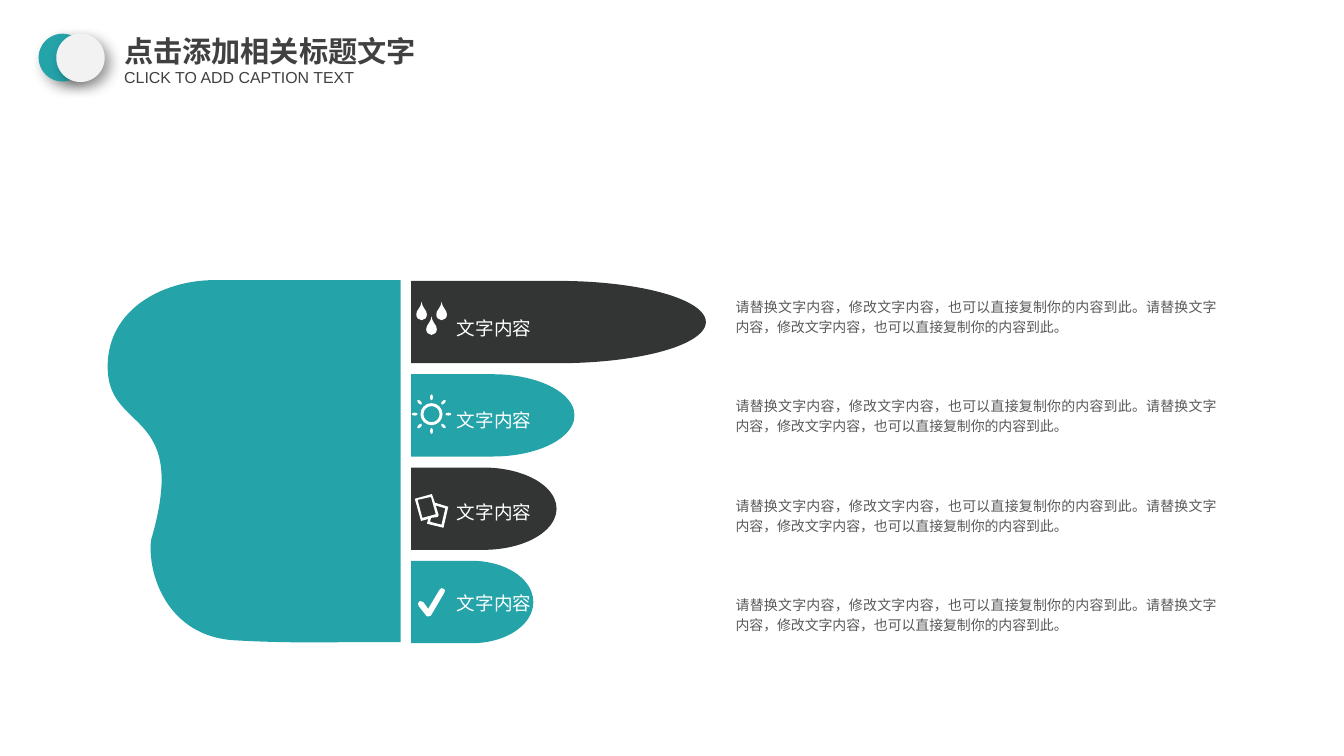
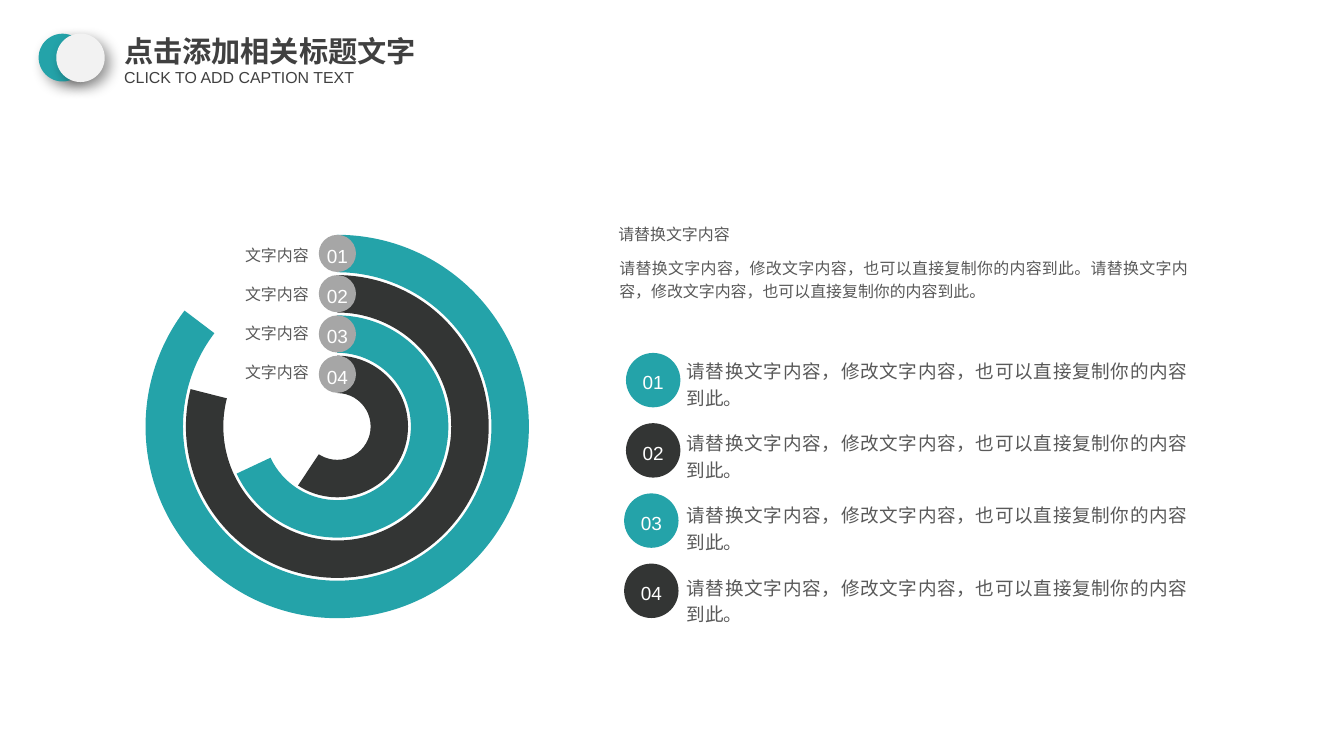
from math import cos, sin, radians
from pptx import Presentation
from pptx.dml.color import RGBColor
from pptx.enum.shapes import MSO_SHAPE as SHAPE
from pptx.enum.text import MSO_ANCHOR as ANCHOR, MSO_AUTO_SIZE as FIT, PP_ALIGN as ALIGN
from pptx.oxml import parse_xml
from pptx.oxml.ns import nsdecls, qn
from pptx.util import Pt

COLORS = {"teal": "24A3A9", "dark": "333534", "pale": "F2F2F2", "badge": "A6A6A6",
          "white": "FFFFFF", "title": "404040", "body": "595959"}
BANDS = ["teal", "dark"]
LABEL = "文字内容"
HINT = "请替换文字内容"
SENTENCE = HINT + "，修改文字内容，也可以直接复制你的内容到此。"
SHADOW = (f'<a:effectLst {nsdecls("a")}><a:outerShdw blurRad="127000" dist="76200" dir="2700000">'
          '<a:srgbClr val="000000"><a:alpha val="40000"/></a:srgbClr></a:outerShdw></a:effectLst>')


def place(slide, kind, box, fill=None, text="", size=12, color="body", align=ALIGN.LEFT,
          wrap=True, spacing=1.2):
    frame = [Pt(v) for v in box]
    if kind is None:
        item = slide.shapes.add_textbox(*frame)
    else:
        item = slide.shapes.add_shape(kind, *frame)
        item.shadow.inherit = False
        item.fill.solid()
        item.fill.fore_color.rgb = RGBColor.from_string(COLORS[fill])
        item.line.fill.background()
    if text:
        words = item.text_frame
        words.margin_left = words.margin_right = words.margin_top = words.margin_bottom = 0
        words.word_wrap = wrap
        words.auto_size = FIT.SHAPE_TO_FIT_TEXT if kind is None else FIT.NONE
        words.vertical_anchor = ANCHOR.TOP if kind is None else ANCHOR.MIDDLE
        words.text = text
        line = words.paragraphs[0]
        line.alignment = align
        line.line_spacing = spacing
        line.font.name = "Arial"
        line.font.size = Pt(size)
        line.font.color.rgb = RGBColor.from_string(COLORS[color])
    return item


def trace(slide, contours, fill):
    builder = None
    for start, *steps in contours:
        x, y = Pt(start[0]), Pt(start[1])
        if builder is None:
            builder = slide.shapes.build_freeform(x, y)
        else:
            builder.move_to(x, y)
        builder.add_line_segments([(Pt(s[-2]), Pt(s[-1])) for s in steps], close=True)
    outline = builder.convert_to_shape()
    outline.shadow.inherit = False
    outline.fill.solid()
    outline.fill.fore_color.rgb = RGBColor.from_string(COLORS[fill])
    outline.line.fill.background()
    all_steps = [step for _, *steps in contours for step in steps]
    for segment, step in zip(list(outline._element.iter(qn("a:lnTo"))), all_steps):
        if len(step) == 6:
            points = "".join(f'<a:pt x="{Pt(px) - outline.left}" y="{Pt(py) - outline.top}"/>'
                             for px, py in zip(step[::2], step[1::2]))
            curve = parse_xml(f'<a:cubicBezTo {nsdecls("a")}>{points}</a:cubicBezTo>')
            segment.getparent().replace(segment, curve)


deck = Presentation()
deck.slide_width, deck.slide_height = Pt(1012.5), Pt(569.5)

slides = []
for _ in range(2):
    slide = deck.slides.add_slide(deck.slide_layouts[5])
    for disc_box, disc_fill in [((29.1, 25.4, 36, 36), "teal"), ((42.4, 25.3, 36.5, 36.5), "pale")]:
        disc = place(slide, SHAPE.OVAL, disc_box, disc_fill)
        props = disc._element.spPr
        props.remove(props.find(qn("a:effectLst")))
        props.append(parse_xml(SHADOW))
    title = slide.shapes.title
    title.left, title.top, title.width, title.height = Pt(93.6), Pt(25.2), Pt(240), Pt(26.6)
    heading = title.text_frame
    heading.margin_left = heading.margin_right = heading.margin_top = heading.margin_bottom = 0
    heading.vertical_anchor = ANCHOR.TOP
    heading.auto_size = FIT.NONE
    heading.text = "点击添加相关标题文字"
    name = heading.paragraphs[0]
    name.alignment = ALIGN.LEFT
    name.font.name = "Arial"
    name.font.size = Pt(22)
    name.font.bold = True
    name.font.color.rgb = RGBColor.from_string(COLORS["title"])
    place(slide, None, (93.6, 51.1, 240, 14.4), text="CLICK TO ADD CAPTION TEXT",
          color="title", spacing=1)
    slides.append(slide)
fist, rings = slides

palm = [(113.8, 406.8), (142.6, 308.9, 84.2, 326.2, 81.2, 280.1),
        (78.5, 234.7, 121, 211, 162, 211), (301.7, 211), (301.7, 483.8),
        (259.9, 483.1, 228.2, 485.3, 177.1, 482.4), (125.3, 479.5, 110.9, 431.3, 113.8, 406.8)]
trace(fist, [palm], "teal")

for i, length in enumerate([222, 123, 109.5, 92]):
    place(fist, SHAPE.FLOWCHART_DELAY, (309.8, 211.6 + 70.3 * i, length, 62), BANDS[(i + 1) % 2])
    place(fist, None, (344.2, 235.5 + 69.1 * i, 57, 19), text=LABEL, size=14,
          color="white", wrap=False)
    place(fist, None, (554.2, 222.3 + 74.9 * i, 363, 30.2), text=SENTENCE * 2, size=10.5,
          align=ALIGN.JUSTIFY)

drops = [[(x, y), (x - 0.7, y + 5.4, x - 4, y + 6.1, x - 4, y + 9.7),
          (x - 4, y + 12.2, x - 2.2, y + 14, x, y + 14),
          (x + 2.2, y + 14, x + 4, y + 12.2, x + 4, y + 9.7),
          (x + 4, y + 6.1, x + 0.7, y + 5.4, x, y)]
         for x, y in [(317.6, 227.2), (332.7, 227.2), (325.1, 238.3)]]

K = 0.55
QUARTERS = [(1, 0), (1, K, K, 1, 0, 1), (-K, 1, -1, K, -1, 0),
            (-1, -K, -K, -1, 0, -1), (K, -1, 1, -K, 1, 0)]
ovals = [(0, 8.3, 8.3, 0), (0, 6.1, 6.1, 0)] + [(12.7, 2.2, 1.1, a) for a in range(0, 360, 45)]
sun = []
for reach, half_long, half_wide, angle in ovals:
    c, s = cos(radians(angle)), sin(radians(angle))
    oval = []
    for quarter in QUARTERS:
        spot = []
        for u, v in zip(quarter[::2], quarter[1::2]):
            along, across = reach + half_long * u, half_wide * v
            spot += [325.1 + along * c - across * s, 312 + along * s + across * c]
        oval.append(spot)
    sun.append(oval)

cards = [[(312.5, 375.8), (325.4, 372.2), (327.6, 378.7), (337.7, 381.8),
          (334.1, 397.6), (321.7, 394.6), (322.6, 391), (317.2, 392.5)],
         [(314.6, 376.6), (324.7, 374.4), (328.3, 387.4), (318.2, 390.2)],
         [(328.3, 380.9), (335.5, 383), (332.6, 395.3), (324, 393.1),
          (324.7, 390.2), (329.8, 389.5), (330.5, 388.1)]]

tick = [(322.6, 464.4), (321.8, 464.4, 321.1, 464.4, 321.1, 463.7), (315.4, 456.5),
        (314.6, 455, 314.6, 454.3, 316.1, 452.9), (316.8, 452.9, 318.2, 452.9, 319, 453.6),
        (322.6, 458.6), (331.2, 444.2), (331.9, 442.8, 333.4, 442.8, 334.1, 443.5),
        (335.5, 443.5, 335.5, 445, 334.8, 446.4), (324.7, 463.7),
        (324, 463.7, 323.3, 464.4, 322.6, 464.4)]

for icon in (drops, sun, cards, [tick]):
    trace(fist, icon, "white")

place(rings, None, (465.8, 166.3, 114.5, 15.8), text=HINT)
place(rings, None, (466.6, 192.2, 429, 33), text=SENTENCE * 2, align=ALIGN.JUSTIFY)

for i, end_angle in enumerate([217.2, 194.3, 154.9, 123.6]):
    number = f"{i + 1:02d}"
    band = BANDS[i % 2]
    size = 288.8 - 60.7 * i
    top = 321.3 - size / 2
    arc = place(rings, SHAPE.BLOCK_ARC, (254.1 - size / 2, top, size, size), band)
    arc.adjustments[0] = 270 * 0.6
    arc.adjustments[1] = end_angle * 0.6
    arc.adjustments[2] = 28.2 / size
    for badge_box, badge_fill in [((240.2, top, 28, 28), "badge"),
                                  ((471.6 if i < 2 else 470.2, 265.9 + 52.9 * i, 41, 41), band)]:
        place(rings, SHAPE.OVAL, badge_box, badge_fill, number, 14.3, "white", ALIGN.CENTER)
    place(rings, None, (184.3, 182 + 29.5 * i, 48.3, 15.8), text=LABEL,
          align=ALIGN.RIGHT, wrap=False)
    place(rings, None, (517.3, 267.8 + 54.4 * i, 377.3, 39), text=SENTENCE, size=14,
          align=ALIGN.JUSTIFY)

deck.save("out.pptx")
